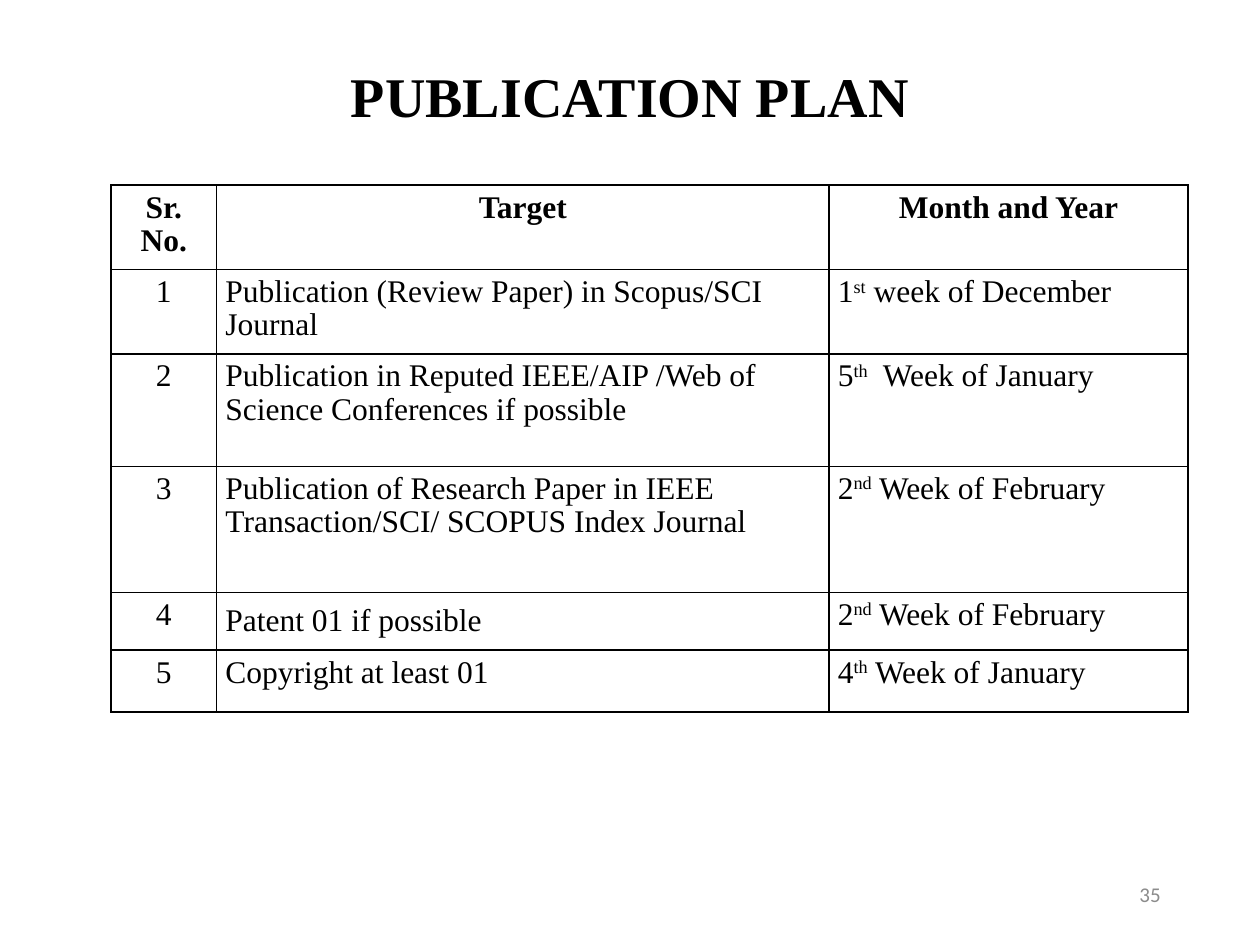
"""Build the publication plan slide with its table of targets and dates."""
from lxml.etree import SubElement
from pptx import Presentation
from pptx.dml.color import RGBColor
from pptx.enum.text import MSO_ANCHOR, PP_ALIGN
from pptx.oxml.ns import qn
from pptx.util import Inches, Pt


def style_run(run, size, color, font="Times New Roman", bold=False):
    run.font.name = font
    run.font.size = Pt(size)
    run.font.bold = bold
    run.font.color.rgb = RGBColor.from_string(color)


def add_text(text, left, top, width, height, alignment):
    shape = slide.shapes.add_textbox(Inches(left), Inches(top), Inches(width), Inches(height))
    shape.text_frame.word_wrap = True
    shape.text_frame.vertical_anchor = MSO_ANCHOR.MIDDLE
    shape.text_frame.text = text
    paragraph = shape.text_frame.paragraphs[0]
    paragraph.alignment = alignment
    return paragraph


presentation = Presentation()
presentation.slide_width = Inches(10)
presentation.slide_height = Inches(7.5)
slide = presentation.slides.add_slide(presentation.slide_layouts[6])

title = add_text("PUBLICATION PLAN", 0.69, 0.4, 8.62, 0.77, PP_ALIGN.CENTER)
title.line_spacing = 0.9
style_run(title.runs[0], 32, "000000", bold=True)

number = add_text("35", 7.06, 6.9, 2.25, 0.4, PP_ALIGN.RIGHT)
style_run(number.runs[0], 12, "8C8C8C", font="Calibri")

headings = ["Sr. No.", "Target", "Month and Year"]
plan = [
    ("Publication (Review Paper) in Scopus/SCI Journal", "1", "st", " week of December"),
    ("Publication in Reputed IEEE/AIP /Web of Science Conferences if possible", "5", "th", "  Week of January"),
    ("Publication of Research Paper in IEEE Transaction/SCI/ SCOPUS Index Journal", "2", "nd", " Week of February"),
    ("Patent 01 if possible", "2", "nd", " Week of February"),
    ("Copyright at least 01", "4", "th", " Week of January"),
]
rows = [[[heading] for heading in headings]]
for index, (target, *date) in enumerate(plan, 1):
    rows.append([[str(index)], [target], date])

column_widths = [0.84, 4.86, 2.85]
row_heights = [0.66, 0.65, 0.89, 1, 0.46, 0.49]
table = slide.shapes.add_table(
    len(rows), len(headings), Inches(0.88), Inches(1.47),
    Inches(sum(column_widths)), Inches(sum(row_heights)),
).table
for column, width in zip(table.columns, column_widths):
    column.width = Inches(width)
for row, height in zip(table.rows, row_heights):
    row.height = Inches(height)

for row_index, row in enumerate(rows):
    for column_index, parts in enumerate(row):
        cell = table.cell(row_index, column_index)
        cell.margin_left = cell.margin_right = Inches(0.07)
        cell.margin_top = cell.margin_bottom = Inches(0.05)
        cell_properties = cell._tc.get_or_add_tcPr()
        for side in ("a:lnL", "a:lnR", "a:lnT", "a:lnB"):
            line = SubElement(cell_properties, qn(side), w=str(Pt(1)))
            fill = SubElement(line, qn("a:solidFill"))
            SubElement(fill, qn("a:srgbClr"), val="000000")
        cell.fill.solid()
        cell.fill.fore_color.rgb = RGBColor.from_string("FFFFFF")
        paragraph = cell.text_frame.paragraphs[0]
        paragraph.line_spacing = 0.95
        centered = row_index == 0 or column_index == 0
        paragraph.alignment = PP_ALIGN.CENTER if centered else PP_ALIGN.LEFT
        for part_index, part in enumerate(parts):
            run = paragraph.add_run()
            run.text = part
            style_run(run, 18, "000000", bold=row_index == 0)
            if part_index == 1:
                run._r.get_or_add_rPr().set("baseline", "30000")
table.cell(4, 1).vertical_anchor = MSO_ANCHOR.MIDDLE

presentation.save("out.pptx")
